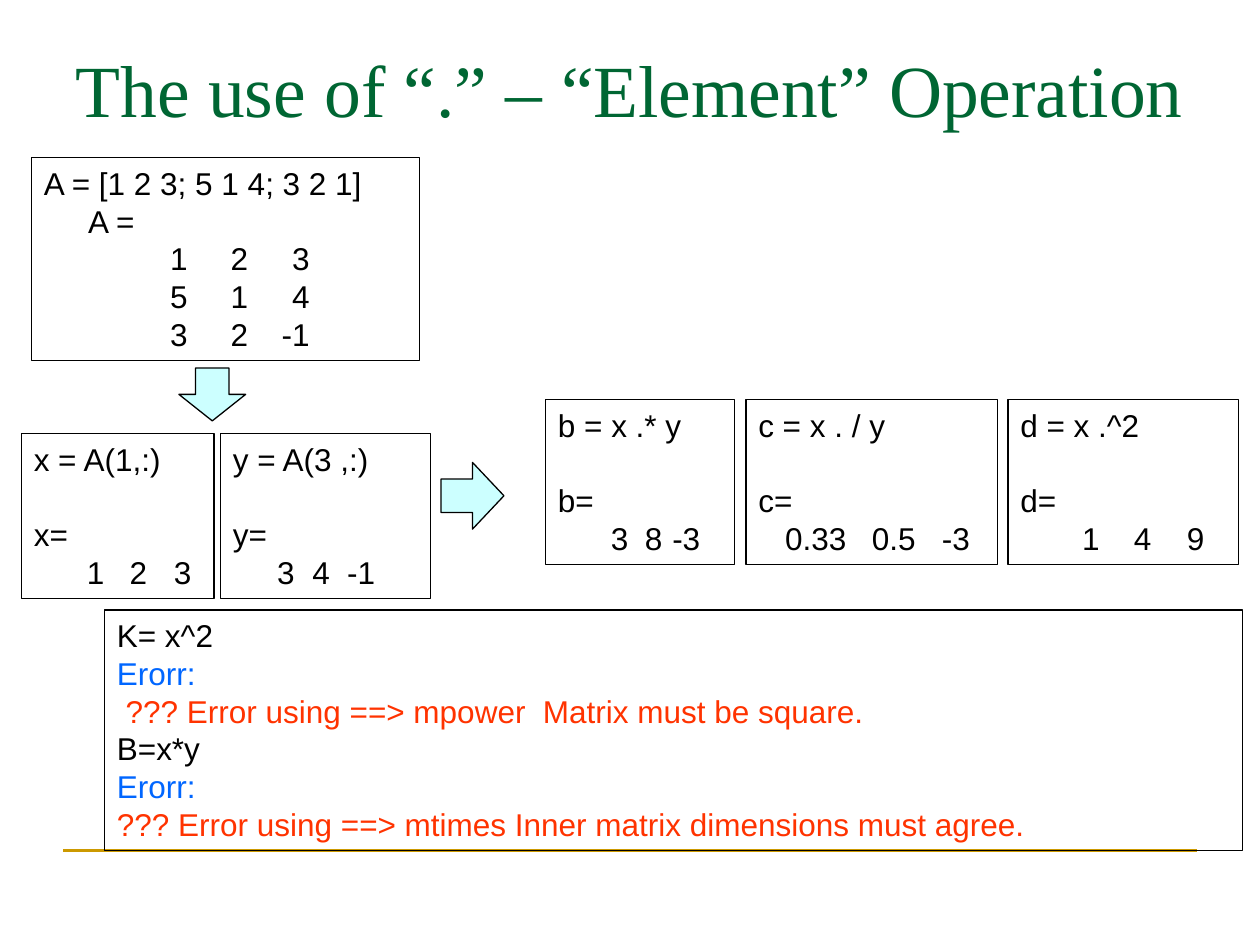
from pptx import Presentation
from pptx.dml.color import RGBColor
from pptx.enum.shapes import MSO_CONNECTOR, MSO_SHAPE
from pptx.enum.text import MSO_ANCHOR, MSO_AUTO_SIZE, PP_ALIGN
from pptx.oxml.ns import qn
from pptx.util import Inches, Pt
from lxml.etree import SubElement

hues = {"black": "000000", "green": "006633", "blue": "0066FF",
        "red": "FF3300", "gold": "CC9900", "aqua": "CCFFFF"}
lead = Pt(21.6)
frame_fmt = {"word_wrap": True, "auto_size": MSO_AUTO_SIZE.NONE,
             "vertical_anchor": MSO_ANCHOR.TOP,
             "margin_left": Inches(0.1), "margin_right": Inches(0.1),
             "margin_top": Inches(0.05), "margin_bottom": Inches(0.05)}
para_fmt = {"alignment": PP_ALIGN.LEFT, "line_spacing": lead}
body_fmt = {"name": "Arial", "size": Pt(18)}
title_fmt = {"name": "Times New Roman", "size": Pt(42)}


def style(item, fmt):
    for key, value in fmt.items():
        setattr(item, key, value)


def draw(kind, rect, fill=None):
    shape = slide.shapes.add_shape(kind, *map(Inches, rect))
    shape.shadow.inherit = False
    if fill:
        shape.fill.solid()
        shape.fill.fore_color.rgb = RGBColor.from_string(hues[fill])
    else:
        shape.fill.background()
    shape.line.color.rgb = RGBColor.from_string(hues["black"])
    shape.line.width = Pt(0.75)
    return shape


deck = Presentation()
style(deck, {"slide_width": Inches(10), "slide_height": Inches(7.5)})
slide = deck.slides.add_slide(deck.slide_layouts[5])

rule = slide.shapes.add_connector(
    MSO_CONNECTOR.STRAIGHT, Inches(0.5), Inches(6.75), Inches(9.5), Inches(6.75))
rule.line.color.rgb = RGBColor.from_string(hues["gold"])
rule.line.width = Pt(1.5)
SubElement(rule.element.spPr, qn("a:effectLst"))

title = slide.shapes.title
style(title, {"left": Inches(0.5), "top": Inches(0.3),
              "width": Inches(9), "height": Inches(1.25)})
style(title.text_frame, frame_fmt)
head = title.text_frame.paragraphs[0]
head.alignment = PP_ALIGN.LEFT
run = head.add_run()
run.text = "The use of “.” – “Element” Operation"
style(run.font, title_fmt)
run.font.color.rgb = RGBColor.from_string(hues["green"])

cols = (1.14, 1.62, 2.11)
boxes = [
    ((0.83, 4.84, 9.03, 1.91), [
        ("K= x^2", "black"),
        ("Erorr:", "blue"),
        (" ??? Error using ==> mpower  Matrix must be square.", "red"),
        ("B=x*y", "black"),
        ("Erorr:", "blue"),
        ("??? Error using ==> mtimes Inner matrix dimensions must agree.", "red")]),
    ((0.25, 1.25, 3.08, 1.61), [
        ("A = [1 2 3; 5 1 4; 3 2 1]", "black"),
        ("\tA =", "black", (0.72,)),
        ("\t1\t2\t3", "black", cols),
        ("\t5\t1\t4", "black", cols),
        ("\t3\t2\t-1", "black", cols)]),
]
cards = [
    (0.17, 3.44, 1.53, "x = A(1,:)", "x=", "\t1\t2\t3", (0.56, 0.9, 1.25)),
    (1.75, 3.44, 1.67, "y = A(3 ,:)", "y=", "\t3\t4\t-1", (0.49, 0.77, 1.13)),
    (4.33, 3.17, 1.5, "b = x .* y", "b=", "\t3\t8\t-3", (0.56, 0.83, 1.13)),
    (5.92, 3.17, 2, "c = x . / y", "c=", "\t0.33\t0.5\t-3", (0.7, 1.25, 1.68)),
    (8, 3.17, 1.83, "d = x .^2", "d=", "\t1\t4\t9", (0.63, 1.04, 1.46)),
]
for left, top, width, code, name, nums, stops in cards:
    boxes.append(((left, top, width, 1.31), [
        (code, "black"), (name, "black", (), lead), (nums, "black", stops)]))

for rect, lines in boxes:
    frame = draw(MSO_SHAPE.RECTANGLE, rect).text_frame
    style(frame, frame_fmt)
    for i, (text, hue, *rest) in enumerate(lines):
        para = frame.add_paragraph() if i else frame.paragraphs[0]
        style(para, para_fmt)
        if len(rest) > 1:
            para.space_before = rest[1]
        if rest and rest[0]:
            tabs = SubElement(para._p.get_or_add_pPr(), qn("a:tabLst"))
            for stop in rest[0]:
                SubElement(tabs, qn("a:tab"), pos=str(Inches(stop)), algn="r")
        run = para.add_run()
        run.text = text
        style(run.font, body_fmt)
        run.font.color.rgb = RGBColor.from_string(hues[hue])

draw(MSO_SHAPE.RIGHT_ARROW, (3.5, 3.67, 0.5, 0.53), "aqua")
draw(MSO_SHAPE.DOWN_ARROW, (1.42, 2.92, 0.53, 0.42), "aqua")

deck.save("out.pptx")
